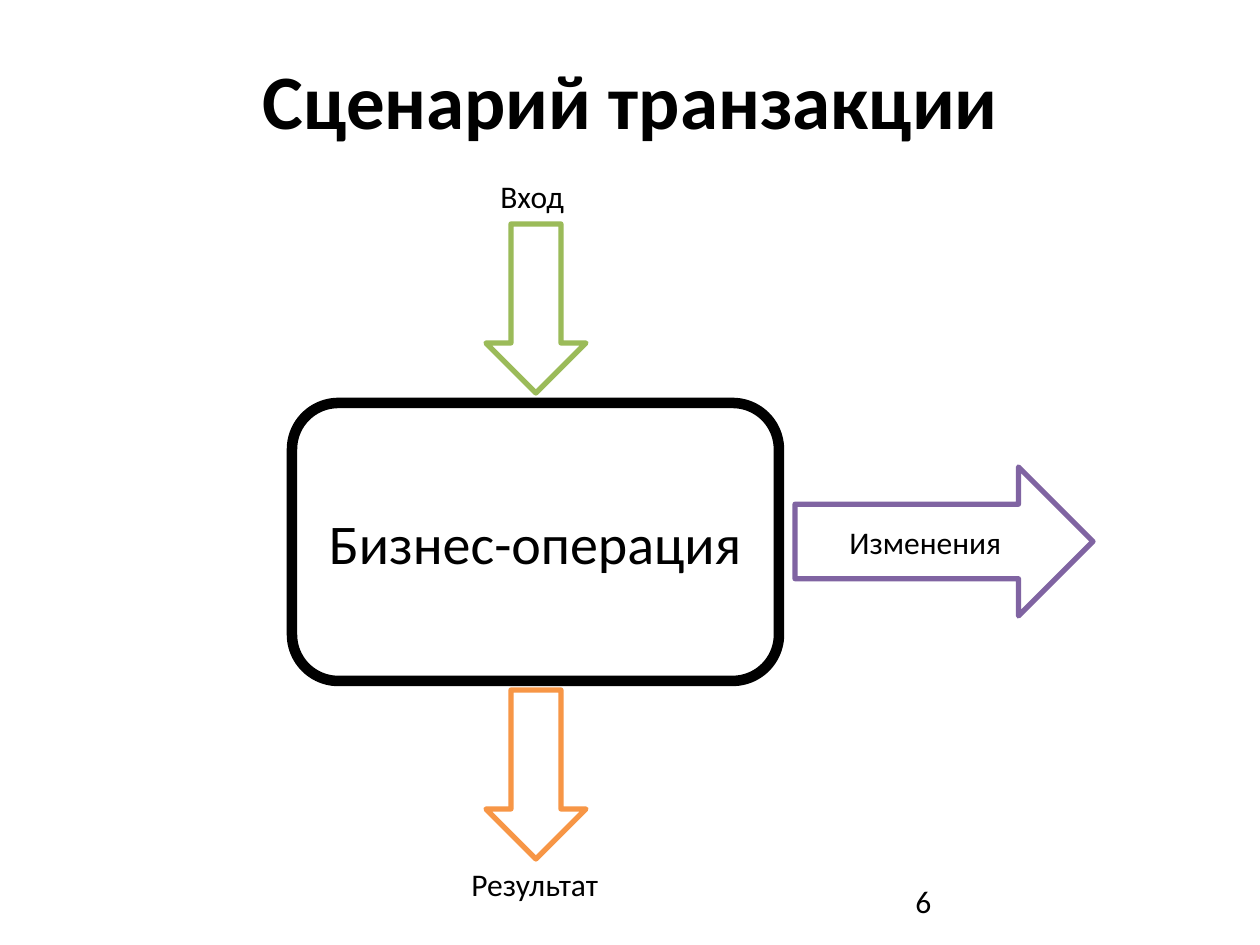
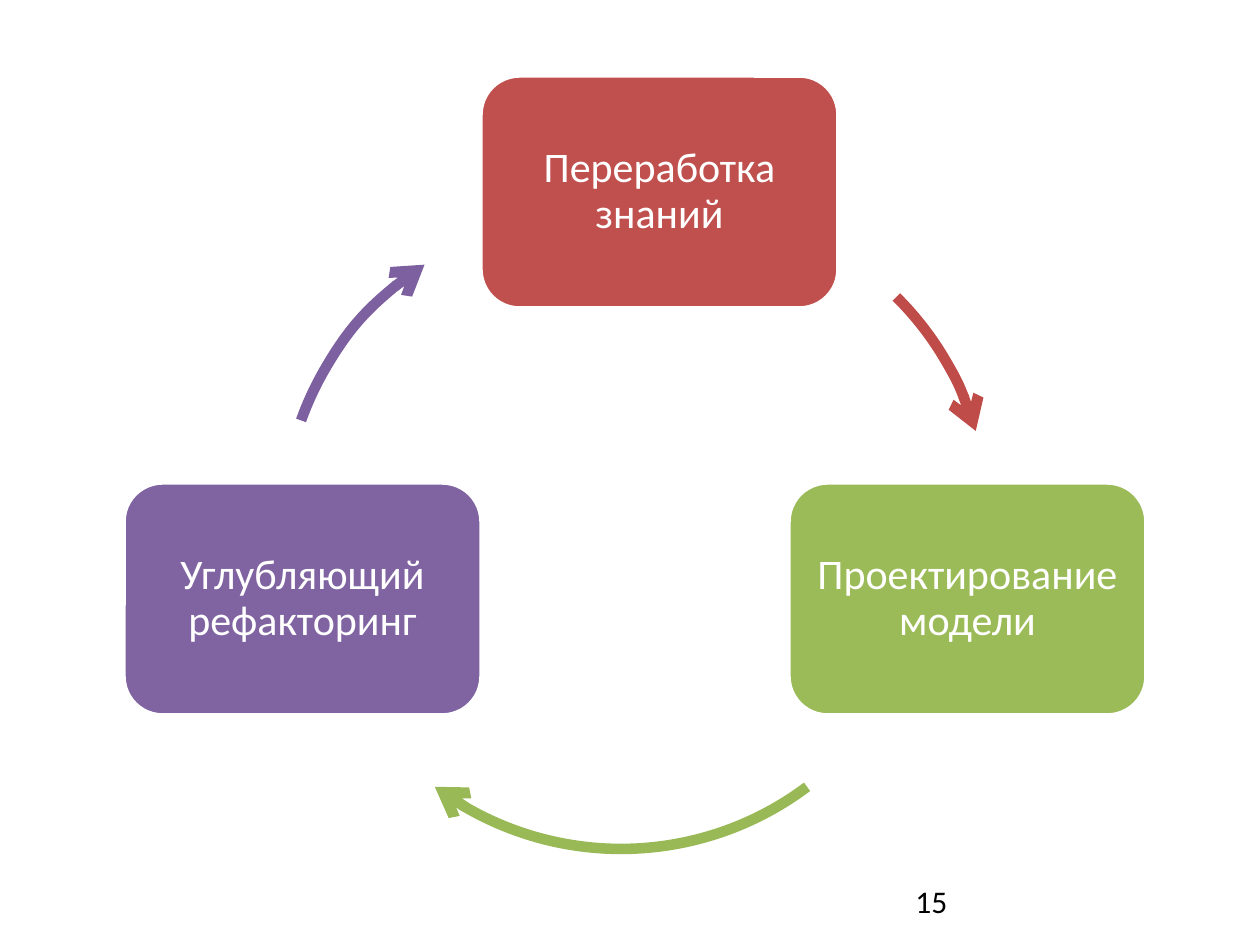
from lxml import etree
from pptx import Presentation, util as u
from pptx.dml.color import RGBColor
from pptx.enum import shapes, text
from pptx.oxml.ns import qn

HUES = {"black": "000000", "white": "FFFFFF", "red": "C0504D", "green": "9BBB59",
        "violet": "8064A2", "orange": "F79646", "dkred": "BF4C48",
        "dkgreen": "98B955", "dkviolet": "7D60A0"}
FONT = "Calibri"
FORM = shapes.MSO_SHAPE
LEFT, MID = text.PP_ALIGN.LEFT, text.PP_ALIGN.CENTER
SCALE = 914400 // 126

TITLE = "Сценарий транзакции"
# form, box, line colour, line width, words, text size
FLOW = [
    (FORM.ROUNDED_RECTANGLE, (292, 403, 487, 278), "black", 6, "Бизнес-операция", 32),
    (FORM.RIGHT_ARROW, (795, 467, 298, 149), "violet", 3, "Изменения", 18),
    (FORM.DOWN_ARROW, (486, 224, 100, 169), "green", 3, "", 18),
    (FORM.DOWN_ARROW, (486, 690, 100, 169), "orange", 3, "", 18),
]
LABELS = [("Вход", (488, 171, 89, 50)), ("Результат", (459, 859, 154, 50))]

STEP = (357, 232)
STEPS = [("Переработка знаний", (481, 76), "red"),
         ("Проектирование модели", (789, 483), "green"),
         ("Углубляющий рефакторинг", (124, 483), "violet")]
RING = 620
# corner of the circle's box, start and end in degrees clockwise from the right
ARCS = [((283, 215), 199.7, 237.1, "dkviolet"),
        ((368, 207), 314.8, 343.9, "dkred"),
        ((311, 229), 53.1, 126.9, "dkgreen")]


def px(*nums):
    return [u.Emu(n * SCALE) for n in nums]


def hue(name):
    return RGBColor.from_string(HUES[name])


def write(shape, words, size=18, color="black", bold=False, align=LEFT,
          anchor=text.MSO_ANCHOR.TOP, wrap=True, space=None, pad=None):
    frame = shape.text_frame
    frame.word_wrap = wrap
    frame.vertical_anchor = anchor
    if pad is not None:
        frame.margin_left = frame.margin_right = px(pad)[0]
    para = frame.paragraphs[0]
    para.alignment = align
    para.line_spacing = space
    run = para.add_run()
    run.text = words
    font = run.font
    font.name, font.size, font.bold = FONT, u.Pt(size), bold
    font.color.rgb = hue(color)


def label(slide, words, box, **style):
    write(slide.shapes.add_textbox(*px(*box)), words, **style)


def draw(slide, form, box, line, width, fill=None):
    shape = slide.shapes.add_shape(form, *px(*box))
    shape.shadow.inherit = False
    if fill:
        shape.fill.solid()
        shape.fill.fore_color.rgb = hue(fill)
    else:
        shape.fill.background()
    shape.line.color.rgb = hue(line)
    shape.line.width = u.Pt(width)
    return shape


def arc(slide, spot, start, end, color):
    shape = draw(slide, FORM.ARC, (*spot, RING, RING), color, 6)
    for i, angle in enumerate((start, end)):
        shape.adjustments[i] = angle * 0.6  # 60000 units a degree, over 100000
    line = shape.line._get_or_add_ln()
    etree.SubElement(line, qn("a:tailEnd"), type="arrow")


def page(deck, number):
    slide = deck.slides.add_slide(deck.slide_layouts[6])
    label(slide, str(number), (903, 876, 294, 50))
    return slide


def flow(deck):
    slide = page(deck, 6)
    label(slide, TITLE, (64, 45, 1134, 108), size=44, bold=True, align=MID,
          anchor=text.MSO_ANCHOR.MIDDLE)
    for form, box, line, width, words, size in FLOW:
        shape = draw(slide, form, box, line, width, "white")
        if words:
            write(shape, words, size, align=MID, anchor=text.MSO_ANCHOR.MIDDLE)
    for words, box in LABELS:
        label(slide, words, box, wrap=False)


def cycle(deck):
    slide = page(deck, 15)
    for words, spot, color in STEPS:
        shape = draw(slide, FORM.ROUNDED_RECTANGLE, (*spot, *STEP), "white", 2, color)
        write(shape, words, 24, "white", align=MID, space=0.9, pad=13,
              anchor=text.MSO_ANCHOR.MIDDLE)
    for item in ARCS:
        arc(slide, *item)


def main():
    deck = Presentation()
    deck.slide_width, deck.slide_height = px(1260, 945)
    flow(deck)
    cycle(deck)
    deck.save("out.pptx")


if __name__ == "__main__":
    main()
